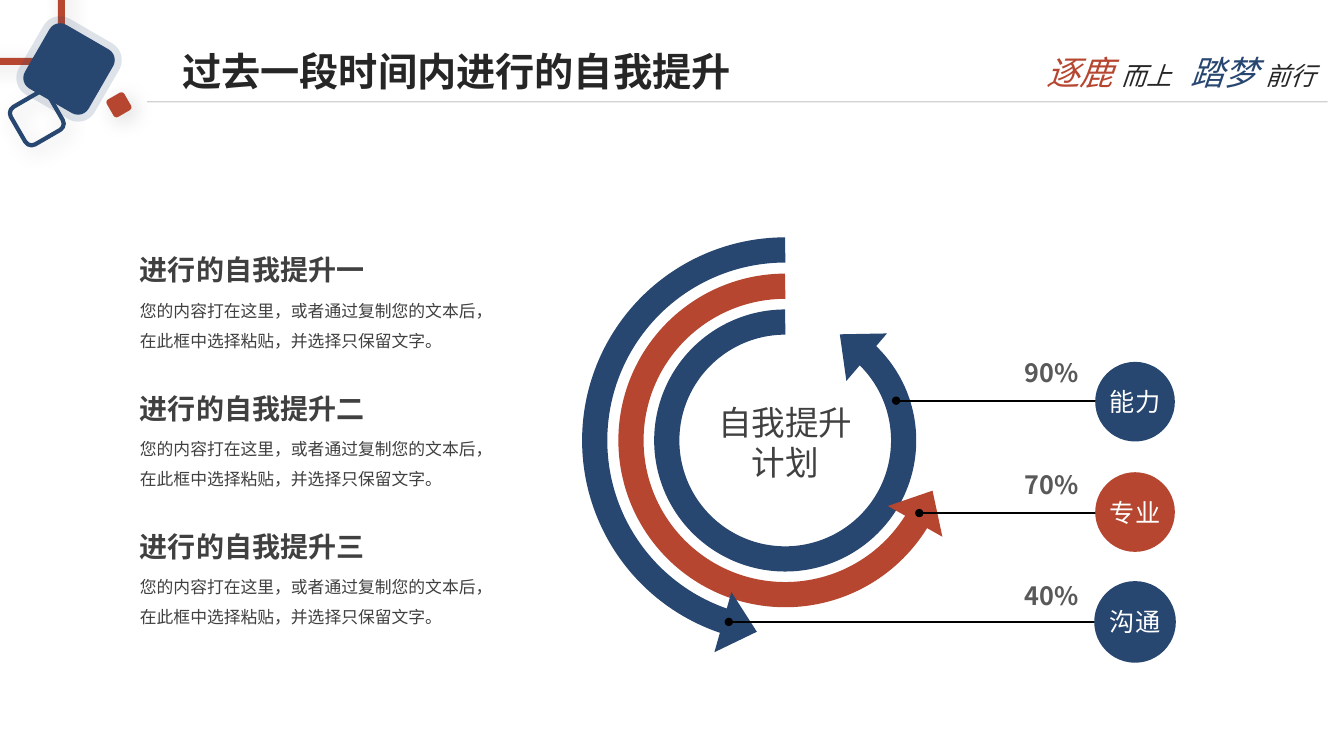
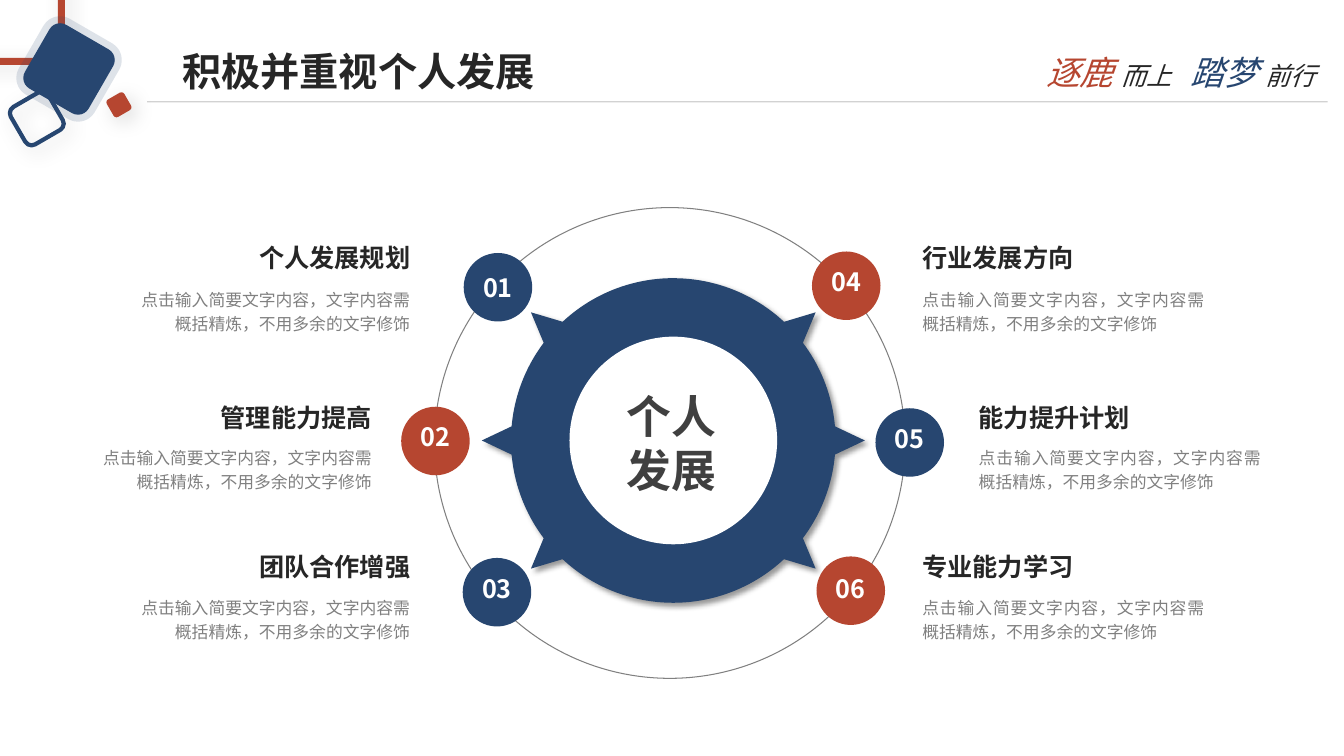
import math
from dataclasses import dataclass
from itertools import pairwise

from lxml import etree
from pptx import Presentation
from pptx import util as u
from pptx.dml.color import RGBColor
from pptx.enum import shapes, text
from pptx.oxml.ns import qn

KIND = shapes.MSO_SHAPE
ALIGN = text.PP_ALIGN
ANCHOR = text.MSO_ANCHOR
CELL = 0.1  # inches per grid column and per grid row


@dataclass(frozen=True)
class Theme:
    font: str = "Noto Sans CJK SC"
    blue: str = "274670"
    red: str = "B64630"
    ink: str = "262626"
    body: str = "404040"
    percent: str = "595959"
    muted: str = "808080"
    rule: str = "BFBFBF"
    black: str = "000000"
    white: str = "FFFFFF"
    title_size: int = 28
    hub_size: int = 32
    large_size: int = 24
    heading_size: int = 20
    label_size: int = 18
    body_size: int = 12


THEME = Theme()
SOFT_SHADOW = (15, 15, 5)
RULE_SHADOW = (15, 5, 2)
HUB_SHADOW = (40, 4, 3)
NO_INSETS = (0, 0, 0, 0)
TEXT_INSETS = (1, 0.5, 1, 0.5)


def cells(count):
    return u.Inches(count * CELL)


def polar(center, radius, degrees):
    angle = math.radians(degrees)
    return center[0] + radius * math.cos(angle), center[1] + radius * math.sin(angle)


def around(center, width, height=None):
    """Return the left, top, width, height box that has this center."""
    height = width if height is None else height
    return center[0] - width / 2, center[1] - height / 2, width, height


def write(shape, *paragraphs, size, color, bold=False, italic=False, align=ALIGN.LEFT,
          anchor=ANCHOR.TOP, spacing=None, insets=TEXT_INSETS, tab=None):
    """Fill a shape with paragraphs: a string, or a list of (text, size, color) runs."""
    frame = shape.text_frame
    frame.word_wrap = True
    frame.auto_size = text.MSO_AUTO_SIZE.NONE
    frame.vertical_anchor = anchor
    (frame.margin_left, frame.margin_top,
     frame.margin_right, frame.margin_bottom) = map(cells, insets)
    for index, content in enumerate(paragraphs):
        paragraph = frame.add_paragraph() if index else frame.paragraphs[0]
        paragraph.alignment = align
        if spacing:
            paragraph.line_spacing = spacing
        runs = [(content, size, color)] if isinstance(content, str) else content
        for words, run_size, run_color in runs:
            run = paragraph.add_run()
            run.text = words
            run.font.name = THEME.font
            run.font.size = u.Pt(run_size)
            run.font.bold, run.font.italic = bold, italic
            run.font.color.rgb = RGBColor.from_string(run_color)
    for properties in shape.element.iter(qn("a:rPr")):
        etree.SubElement(properties, qn("a:ea"), typeface=THEME.font)
    if tab:
        for properties in shape.element.iter(qn("a:pPr")):
            stops = etree.SubElement(properties, qn("a:tabLst"))
            etree.SubElement(stops, qn("a:tab"), pos=str(cells(tab)), algn="l")


def style_line(shape, color, width, opacity=100):
    shape.line.color.rgb = RGBColor.from_string(color)
    shape.line.width = u.Pt(width)
    if opacity < 100:
        tint = shape.element.spPr.find(f"{qn('a:ln')}//{qn('a:srgbClr')}")
        etree.SubElement(tint, qn("a:alpha"), val=str(opacity * 1000))


def set_shadow(shape, shadow=None):
    """Give an (opacity, blur, distance) shadow at 45 degrees, or none."""
    effects = etree.SubElement(shape.element.spPr, qn("a:effectLst"))
    if shadow:
        opacity, blur, distance = shadow
        outer = etree.SubElement(
            effects, qn("a:outerShdw"), blurRad=str(u.Pt(blur)), dist=str(u.Pt(distance)),
            dir=str(45 * 60000), algn="tl", rotWithShape="0")
        tint = etree.SubElement(outer, qn("a:srgbClr"), val=THEME.black)
        etree.SubElement(tint, qn("a:alpha"), val=str(opacity * 1000))


class Deck:
    """Holds the presentation and the slide being drawn; lengths are grid cells."""

    def __init__(self):
        self.presentation = Presentation()
        self.presentation.slide_width = cells(133.33)
        self.presentation.slide_height = cells(75)
        self.layout = self.presentation.slide_layouts.get_by_name("Title Only")
        self.slide = None

    def new_slide(self, title, title_width):
        self.slide = self.presentation.slides.add_slide(self.layout)
        if len(self.presentation.slides) == 1:
            self.frame_layout()
        heading = self.slide.shapes.title
        heading.left, heading.top, heading.width, heading.height = map(
            cells, (17.1, 3.25, title_width, 7.5))
        write(heading, title, size=THEME.title_size, color=THEME.ink, bold=True,
              anchor=ANCHOR.MIDDLE)

    def frame_layout(self):
        """Draw the shared corner, rule and motto, then move them to the layout."""
        self.connect((14.6, 10.1), (131.7, 10.1), THEME.rule, 1, opacity=70,
                     shadow=RULE_SHADOW)
        self.shape(KIND.ROUNDED_RECTANGLE, (-3.6, -3.6, 9.7, 9.7),
                   line=(THEME.red, 5), shadow=SOFT_SHADOW)
        self.shape(KIND.ROUNDED_RECTANGLE, (1.5, 9.6, 4.3, 4.3), turn=60,
                   line=(THEME.blue, 3), shadow=SOFT_SHADOW)
        self.shape(KIND.ROUNDED_RECTANGLE, (3.2, 3.2, 7.3, 7.3), turn=30,
                   fill=THEME.blue, line=(THEME.blue, 10, 15))
        self.shape(KIND.ROUNDED_RECTANGLE, (10.8, 9.4, 2, 2), turn=60,
                   fill=THEME.red, shadow=SOFT_SHADOW)
        motto = [("逐鹿 ", THEME.large_size, THEME.red),
                 ("而上\t", THEME.label_size, THEME.ink),
                 ("踏梦 ", THEME.large_size, THEME.blue),
                 ("前行", THEME.label_size, THEME.ink)]
        self.text((101.4, 4.65, 31.5, 5), motto, size=THEME.large_size, color=THEME.ink,
                  italic=True, insets=(2.4, 0.5, 0, 0.5), tab=14.3)
        shared = [part for part in self.slide.shapes if not part.is_placeholder]
        for number, part in enumerate(shared, start=20):
            part.element.xpath(".//p:cNvPr")[0].set("id", str(number))
            self.layout.shapes.element.append(part.element)

    def text(self, box, *paragraphs, **style):
        write(self.slide.shapes.add_textbox(*map(cells, box)), *paragraphs, **style)

    def finish(self, shape, fill=None, line=None, shadow=None):
        if fill:
            shape.fill.solid()
            shape.fill.fore_color.rgb = RGBColor.from_string(fill)
        else:
            shape.fill.background()
        if line:
            style_line(shape, *line)
        else:
            shape.line.fill.background()
        set_shadow(shape, shadow)
        return shape

    def shape(self, kind, box, turn=0, **look):
        shape = self.slide.shapes.add_shape(kind, *map(cells, box))
        shape.rotation = turn
        return self.finish(shape, **look)

    def disc(self, center, diameter, **look):
        return self.shape(KIND.OVAL, around(center, diameter), **look)

    def spiked_disc(self, center, rim, tip, stops, half_width, **look):
        """Draw a disc whose rim has a spike at each (angle, True) stop.

        An (angle, False) stop only splits the rim; the first and last stops are such splits.
        """
        points, sweeps = [polar(center, rim, stops[0][0])], []
        for (previous, was_spike), (angle, is_spike) in pairwise(stops):
            arc_start = previous + half_width * was_spike
            arc_end = angle - half_width * is_spike
            points.append(polar(center, rim, arc_end))
            sweeps.append((arc_start, arc_end))
            if is_spike:
                points += [polar(center, tip, angle), polar(center, rim, angle + half_width)]
                sweeps += [None, None]
        start, *others = [(cells(x), cells(y)) for x, y in points]
        builder = self.slide.shapes.build_freeform(*start)
        builder.add_line_segments(others, close=True)
        disc = builder.convert_to_shape()
        segments = list(disc.element.iter(qn("a:lnTo")))
        radius = str(cells(rim))
        for segment, sweep in zip(segments, sweeps):
            if sweep:
                arc = etree.Element(
                    qn("a:arcTo"), wR=radius, hR=radius,
                    stAng=str(sweep[0] % 360 * 60000),
                    swAng=str((sweep[1] - sweep[0]) * 60000))
                segment.getparent().replace(segment, arc)
        return self.finish(disc, **look)

    def connect(self, start, end, color, width, opacity=100, shadow=None, dot=False):
        line = self.slide.shapes.add_connector(
            shapes.MSO_CONNECTOR.STRAIGHT, *map(cells, (*start, *end)))
        style_line(line, color, width, opacity)
        if dot:
            etree.SubElement(line.element.spPr.find(qn("a:ln")), qn("a:tailEnd"), type="oval")
        set_shadow(line, shadow)

    def arc_arrow(self, center, diameter, end_angle, head_center, head_turn, color):
        """Draw an arc from the top, counter-clockwise to end_angle, and its arrowhead."""
        arc = self.shape(KIND.ARC, around(center, diameter), line=(color, 18))
        # An arc counts 60000 units a degree, and an adjustment of 1 is 100000 units.
        arc.adjustments[0], arc.adjustments[1] = end_angle * 0.6, 270 * 0.6
        self.shape(KIND.ISOSCELES_TRIANGLE, around(head_center, 6.2, 3.5),
                   turn=head_turn, fill=color)


def improvement_slide(deck):
    deck.new_slide("过去一段时间内进行的自我提升", 62)
    center = (77.9, 43.7)
    arrows = (
        # diameter, end angle, head center, head turn, color
        (23.5, 309.12, (84.65, 34.3), 310.5, THEME.blue),
        (30.6, 28.02, (91.65, 50.2), 29.5, THEME.red),
        (37.8, 107.35, (73.4, 62.2), 105.8, THEME.blue),
    )
    callouts = (
        # share, its top and height, label, line row, line end, badge row, badge diameter
        ("90%", 34.8, 4.3, "能力", 39.75, 88.9, 39.85, 7.9),
        ("70%", 45.9, 4.3, "专业", 50.9, 91.2, 50.8, 7.9),
        ("40%", 57.1, 4, "沟通", 61.7, 72.3, 61.7, 8.1),
    )
    for arrow, callout in zip(arrows, callouts):
        deck.arc_arrow(center, *arrow)
        share, top, height, label, row, line_end, badge_row, badge_size = callout
        deck.text((95.2, top, 13.1, height), share, size=THEME.label_size,
                  color=THEME.percent, bold=True, align=ALIGN.RIGHT,
                  anchor=ANCHOR.MIDDLE, insets=(1.3, 1.3, 1.3, 1.3))
        deck.connect((109.3, row), (line_end, row), THEME.black, 1.5, dot=True)
        badge = deck.disc((112.6, badge_row), badge_size, fill=arrow[-1])
        write(badge, label, size=THEME.label_size, color=THEME.white, align=ALIGN.CENTER,
              anchor=ANCHOR.MIDDLE, insets=NO_INSETS)
    deck.text((69.5, 39.35, 16.8, 9), "自我提升计划", size=THEME.large_size, color=THEME.body,
              align=ALIGN.CENTER, anchor=ANCHOR.MIDDLE, insets=(0.5, 0.3, 0.5, 0.3))

    for index, numeral in enumerate("一二三"):
        top = 24.6 + 13.72 * index
        deck.text((12.9, top, 27.2, 4.4), f"进行的自我提升{numeral}",
                  size=THEME.heading_size, color=THEME.body, bold=True)
        deck.text((12.9, top + 3.7, 36.6, 7.1),
                  "您的内容打在这里，或者通过复制您的文本后，在此框中选择粘贴，并选择只保留文字。",
                  size=THEME.body_size, color=THEME.body, spacing=1.5)


def development_slide(deck):
    deck.new_slide("积极并重视个人发展", 37.1)
    center = (66.8, 43.7)
    stops = [(-90, False), (-42, True), (0, True), (42, True), (90, False),
             (138, True), (180, True), (222, True), (270, False)]
    deck.spiked_disc(center, 16.1, 19, stops, 5, fill=THEME.blue, shadow=HUB_SHADOW)
    deck.disc((66.45, 43.95), 46.7, line=(THEME.muted, 0.75))
    core = deck.disc(center, 20.6, fill=THEME.white)
    write(core, "个人", "发展", size=THEME.hub_size, color=THEME.body, bold=True,
          align=ALIGN.CENTER, anchor=ANCHOR.MIDDLE, insets=(0, 0.4, 0.4, 0))

    heading_width = 17.8
    left_side = (27.6, ALIGN.RIGHT, ALIGN.RIGHT)
    right_side = (28, ALIGN.LEFT, ALIGN.JUSTIFY)
    rows = ((24.05, 28.3), (39.9, 44), (54.7, 58.9))
    topics = (
        # heading, node center, number lift, color, inner edge of the block, side
        ("个人发展规划", (49.4, 28.5), 0, THEME.blue, 40.7, left_side),
        ("管理能力提高", (43.2, 43.75), 0.9, THEME.red, 36.9, left_side),
        ("团队合作增强", (49.3, 58.75), 0.8, THEME.blue, 40.7, left_side),
        ("行业发展方向", (83.95, 28.35), 0.9, THEME.red, 91.5, right_side),
        ("能力提升计划", (90.25, 43.9), 0.8, THEME.blue, 97.1, right_side),
        ("专业能力学习", (84.4, 58.6), 0.4, THEME.red, 91.5, right_side),
    )
    for index, (heading, node_center, lift, color, edge, side) in enumerate(topics):
        node = deck.disc(node_center, 6.8, fill=color)
        write(node, f"{index + 1:02}", size=THEME.label_size, color=THEME.white, bold=True,
              align=ALIGN.CENTER, anchor=ANCHOR.MIDDLE, insets=(0, 0, 0, lift))
        body_width, heading_align, body_align = side
        heading_top, body_top = rows[index % len(rows)]
        heading_left, body_left = (
            edge - width * (side is left_side) for width in (heading_width, body_width))
        deck.text((heading_left, heading_top, heading_width, 3), heading,
                  size=THEME.label_size, color=THEME.ink, bold=True, align=heading_align,
                  insets=NO_INSETS)
        deck.text((body_left, body_top, body_width, 4.8),
                  "点击输入简要文字内容，文字内容需概括精炼，不用多余的文字修饰",
                  size=THEME.body_size, color=THEME.muted, align=body_align,
                  spacing=1.2, insets=NO_INSETS)


def main():
    deck = Deck()
    improvement_slide(deck)
    development_slide(deck)
    deck.presentation.save("out.pptx")


if __name__ == "__main__":
    main()
